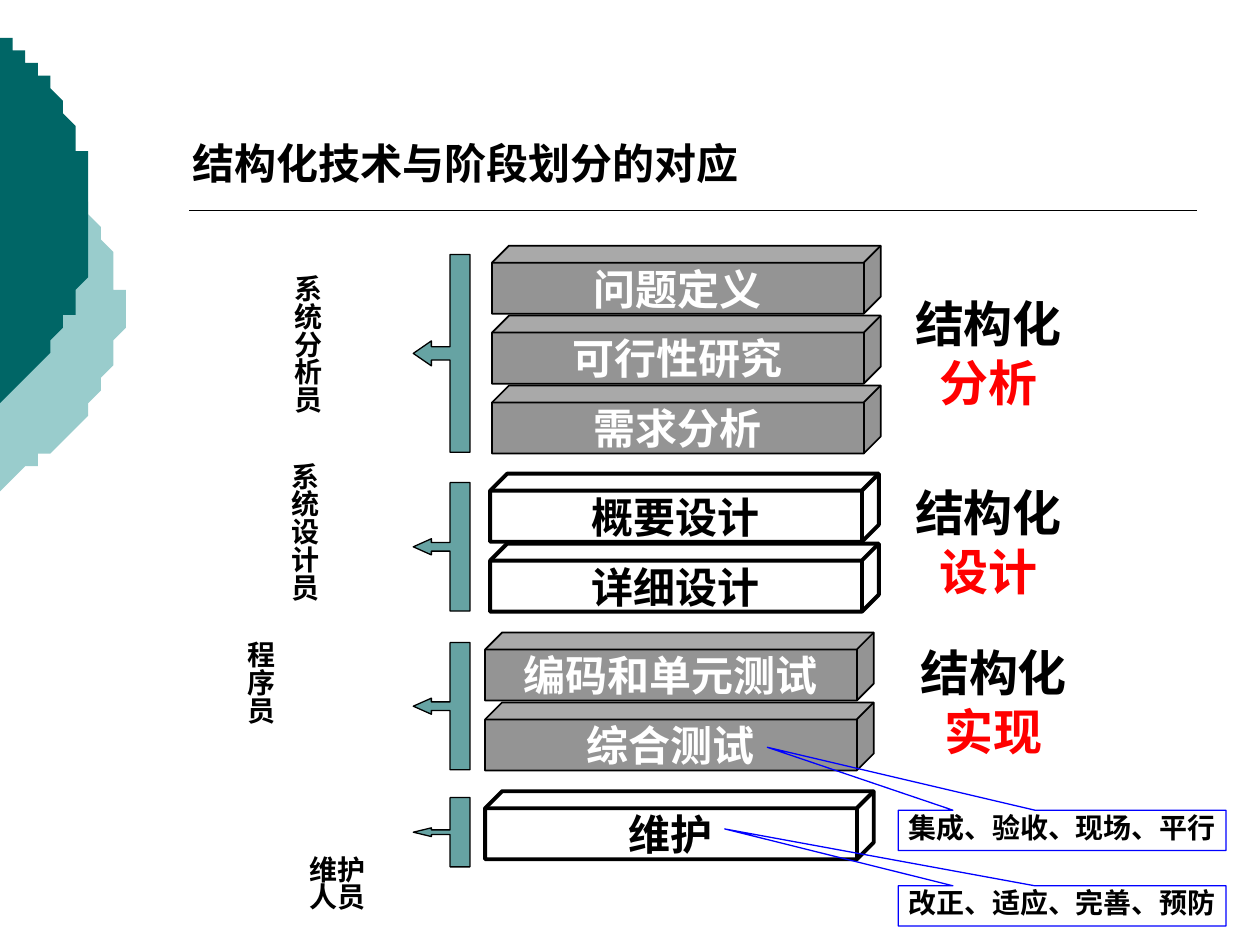
from lxml import etree
from pptx import Presentation
from pptx.dml.color import RGBColor
from pptx.enum.shapes import MSO_CONNECTOR, MSO_SHAPE
from pptx.enum.text import MSO_ANCHOR, PP_ALIGN
from pptx.oxml.ns import qn
from pptx.util import Inches, Pt

BLACK = RGBColor(0x00, 0x00, 0x00)
WHITE = RGBColor(0xFF, 0xFF, 0xFF)
RED = RGBColor(0xFF, 0x00, 0x00)
BLUE = RGBColor(0x00, 0x00, 0xFF)
TEAL = RGBColor(0x00, 0x66, 0x66)
PALE_TEAL = RGBColor(0x99, 0xCC, 0xCC)
CUBE, ARROW = MSO_SHAPE.CUBE, MSO_SHAPE.LEFT_ARROW_CALLOUT
CALLOUT, STRAIGHT = MSO_SHAPE.RECTANGULAR_CALLOUT, MSO_CONNECTOR.STRAIGHT
TOP, MIDDLE = MSO_ANCHOR.TOP, MSO_ANCHOR.MIDDLE
LEFT, CENTER = PP_ALIGN.LEFT, PP_ALIGN.CENTER
COLUMNS, ROWS = 100, 75
CUBE_WIDTH, CUBE_HEIGHT, CUBE_PITCH = 30.85, 5.4, 5.55

STAGES = [
    (39.05, 19.5, ["问题定义", "可行性研究", "需求分析"], True, 20.2, 15.7),
    (38.9, 37.6, ["概要设计", "详细设计"], False, 38.3, 10.2),
    (38.5, 50.2, ["编码和单元测试", "综合测试"], True, 51, 10.1),
    (38.5, 62.8, ["维护"], False, 63.3, 5.5),
]
METHODS = [("分析", 71.2, 23.3), ("设计", 71.2, 38.3), ("实现", 71.6, 51)]
ROLES = [("系统分析员", 23, 21.8, 11.8), ("系统设计员", 22.8, 36.7, 11.8),
         ("程序员", 19.3, 50.9, 8.7)]
NOTES = [("集成、验收、现场、平行", 64.3, (-0.9, -2.06)),
         ("改正、适应、完善、预防", 70.3, (-1.03, -1.91))]


class SlideBuilder:
    """Draws styled elements on one slide, measured in grid columns and rows."""

    def __init__(self, presentation):
        self.slide = presentation.slides.add_slide(presentation.slide_layouts[6])
        self.shapes = self.slide.shapes
        self.unit = presentation.slide_width // COLUMNS

    def place(self, *lengths):
        return [round(length * self.unit) for length in lengths]

    def paint(self, shape, fill=None, opacity=100, line=None, width=1):
        shape.shadow.inherit = False
        if fill is None:
            shape.fill.background()
        else:
            shape.fill.solid()
            shape.fill.fore_color.rgb = fill
            if opacity < 100:
                color = shape._element.spPr.find(qn("a:solidFill"))[0]
                etree.SubElement(color, qn("a:alpha"), val=str(opacity * 1000))
        if line is None:
            shape.line.fill.background()
        else:
            shape.line.color.rgb = line
            shape.line.width = Pt(width)

    def add_text(self, shape, lines, size, font, align=LEFT, anchor=TOP,
                 wrap=True, inset=True, spacing=None):
        frame = shape.text_frame
        frame.word_wrap = wrap
        frame.vertical_anchor = anchor
        if not inset:
            frame.margin_left = frame.margin_right = 0
            frame.margin_top = frame.margin_bottom = 0
        for index, (text, color) in enumerate(lines):
            paragraph = frame.add_paragraph() if index else frame.paragraphs[0]
            paragraph.alignment = align
            if spacing:
                paragraph.line_spacing = spacing
            run = paragraph.add_run()
            run.text = text
            run.font.size = Pt(size)
            run.font.bold = True
            run.font.color.rgb = color
            run.font.name = font
            properties = run._r.get_or_add_rPr()
            etree.SubElement(properties, qn("a:ea"), typeface=font)

    def label(self, box, lines, size, align=LEFT, vertical=False, spacing=None):
        shape = self.shapes.add_textbox(*self.place(*box))
        self.add_text(shape, lines, size, "Lato", align, inset=False, spacing=spacing)
        if vertical:
            shape.text_frame._txBody.bodyPr.set("vert", "eaVert")

    def cube(self, left, top, text, shaded):
        shape = self.shapes.add_shape(
            CUBE, *self.place(left, top, CUBE_WIDTH, CUBE_HEIGHT))
        if shaded:
            self.paint(shape, BLACK, 42, BLACK, 1)
        else:
            self.paint(shape, line=BLACK, width=2.25)
        color = WHITE if shaded else BLACK
        self.add_text(shape, [(text, color)], 24, "Noto Sans CJK SC",
                      CENTER, MIDDLE, wrap=False)

    def arrow(self, top, height):
        shape = self.shapes.add_shape(ARROW, *self.place(32.8, top, 4.5, height))
        adjustments = (0.15 * height / 10, 0.14 * height / 10, 0.32, 0.35)
        for index, value in enumerate(adjustments):
            shape.adjustments[index] = value
        self.paint(shape, TEAL, 60, BLACK, 0.75)

    def note(self, text, top, pointer):
        shape = self.shapes.add_shape(CALLOUT, *self.place(71.3, top, 26, 3.2))
        shape.adjustments[0], shape.adjustments[1] = pointer
        self.paint(shape, line=BLUE, width=0.75)
        self.add_text(shape, [(text, BLACK)], 16, "DejaVu Sans", CENTER, inset=False)

    def rule(self, left, right, row):
        line = self.shapes.add_connector(STRAIGHT, *self.place(left, row, right, row))
        line.line.color.rgb = BLACK
        line.line.width = Pt(1)
        etree.SubElement(line._element.spPr, qn("a:effectLst"))

    def edge_disc(self, controls, color, steps=24):
        middle = controls[-1][1]
        upper = []
        for step in range(steps + 1):
            t = step / steps
            weights = ((1 - t) ** 3, 3 * t * (1 - t) ** 2, 3 * t * t * (1 - t), t ** 3)
            upper.append(tuple(
                sum(weight * point[axis] for weight, point in zip(weights, controls))
                for axis in (0, 1)))
        lower = [(x, 2 * middle - y) for x, y in reversed(upper[:-1])]
        builder = self.shapes.build_freeform(*upper[0], scale=self.unit)
        builder.add_line_segments(upper[1:] + lower, close=True)
        self.paint(builder.convert_to_shape(), color)


def main():
    presentation = Presentation()
    presentation.slide_width = Inches(COLUMNS / 10)
    presentation.slide_height = Inches(ROWS / 10)
    builder = SlideBuilder(presentation)

    builder.edge_disc([(0, 10.6), (6, 13.8), (9.6, 19), (9.6, 24.6)], PALE_TEAL)
    builder.edge_disc([(0, 3), (4.6, 6.2), (7.3, 11.6), (7.3, 17.25)], TEAL)
    builder.rule(15, 95, 16.7)
    builder.label((15.3, 10.9, 44.9, 4), [("结构化技术与阶段划分的对应", BLACK)], 24)

    for left, top, names, shaded, arrow_top, arrow_height in STAGES:
        for index, name in enumerate(names):
            builder.cube(left, top + index * CUBE_PITCH, name, shaded)
        builder.arrow(arrow_top, arrow_height)
    for name, left, top in METHODS:
        builder.label((left, top, 14.5, 9.3), [("结构化", BLACK), (name, RED)], 28, CENTER)
    for name, left, top, height in ROLES:
        builder.label((left, top, 2.7, height), [(name, BLACK)], 16, vertical=True)
    builder.label((23.7, 68.2, 6.2, 4.3), [("维护", BLACK), ("人员", BLACK)],
                  16, CENTER, spacing=0.8)
    for text, top, pointer in NOTES:
        builder.note(text, top, pointer)

    presentation.save("out.pptx")


if __name__ == "__main__":
    main()
